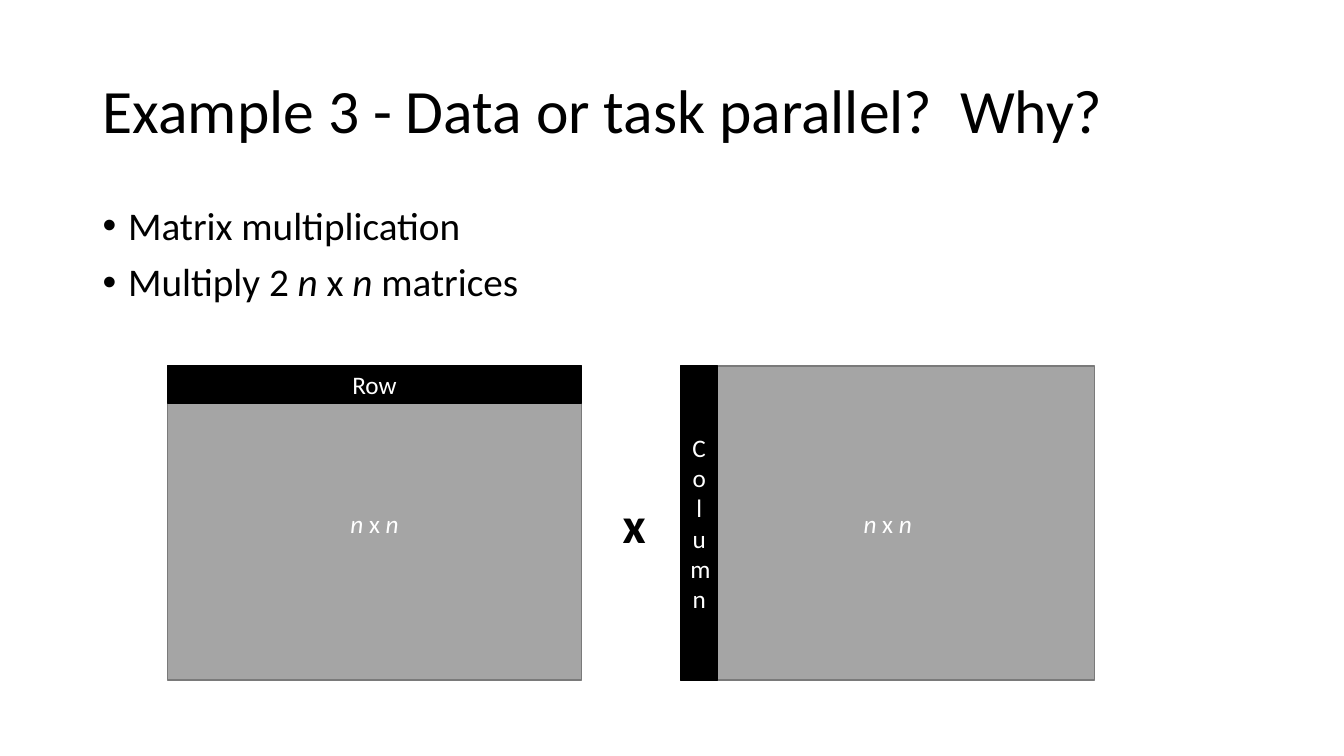
from dataclasses import dataclass

from lxml.etree import SubElement
from pptx import Presentation
from pptx.dml.color import RGBColor
from pptx.enum.shapes import MSO_SHAPE
from pptx.enum.text import MSO_ANCHOR, MSO_AUTO_SIZE, PP_ALIGN
from pptx.oxml.ns import qn
from pptx.slide import Slide
from pptx.text.text import TextFrame, _Paragraph
from pptx.util import Cm, Pt

FONT = "Calibri"
BLACK, WHITE, GRAY, EDGE = "000000", "FFFFFF", "A5A5A5", "7A7A7A"
MATRIX_TOP, MATRIX_WIDTH, MATRIX_HEIGHT = 9.22, 10.44, 7.92
BAND = 0.94
SIZE_LABEL = ["*n", " x ", "*n"]


@dataclass(frozen=True)
class Box:
    left: float
    top: float
    width: float
    height: float

    def lengths(self) -> tuple[Cm, Cm, Cm, Cm]:
        return Cm(self.left), Cm(self.top), Cm(self.width), Cm(self.height)


@dataclass(frozen=True)
class Block:
    box: Box
    label: list[str]
    fill: str
    edge: str


def color(value: str) -> RGBColor:
    return RGBColor.from_string(value)


def write(paragraph: _Paragraph, pieces: list[str], size: int, ink: str) -> None:
    paragraph.font.name = FONT
    paragraph.font.size = Pt(size)
    paragraph.font.color.rgb = color(ink)
    for piece in pieces:
        run = paragraph.add_run()
        run.text = piece.removeprefix("*")
        if piece.startswith("*"):
            run.font.italic = True


def add_bullet(paragraph: _Paragraph) -> None:
    properties = paragraph._p.get_or_add_pPr()
    properties.set("marL", str(Cm(0.64)))
    properties.set("indent", str(Cm(-0.64)))
    SubElement(properties, qn("a:buFont"), typeface="Arial")
    SubElement(properties, qn("a:buChar"), char="•")


def add_text(slide: Slide, box: Box) -> TextFrame:
    frame = slide.shapes.add_textbox(*box.lengths()).text_frame
    frame.word_wrap = True
    return frame


def add_heading(slide: Slide) -> None:
    heading = add_text(slide, Box(2.34, 1.02, 29.21, 3.68))
    heading.vertical_anchor = MSO_ANCHOR.MIDDLE
    heading.paragraphs[0].line_spacing = 0.9
    write(heading.paragraphs[0], ["Example 3 - Data or task parallel?  Why?"], 44, BLACK)


def add_points(slide: Slide) -> None:
    points = [
        ["Matrix multiplication"],
        ["Multiply 2 ", "*n", " x ", "*n ", "matrices"],
    ]
    body = add_text(slide, Box(2.34, 5.08, 14.4, 12.09))
    for index, point in enumerate(points):
        paragraph = body.add_paragraph() if index else body.paragraphs[0]
        paragraph.line_spacing = 0.9
        paragraph.space_before = Pt(10)
        add_bullet(paragraph)
        write(paragraph, point, 28, BLACK)


def add_block(slide: Slide, block: Block) -> None:
    rectangle = slide.shapes.add_shape(MSO_SHAPE.RECTANGLE, *block.box.lengths())
    rectangle.shadow.inherit = False
    rectangle.fill.solid()
    rectangle.fill.fore_color.rgb = color(block.fill)
    rectangle.line.color.rgb = color(block.edge)
    rectangle.line.width = Pt(1)
    frame = rectangle.text_frame
    frame.word_wrap = True
    frame.vertical_anchor = MSO_ANCHOR.MIDDLE
    frame.paragraphs[0].alignment = PP_ALIGN.CENTER
    write(frame.paragraphs[0], block.label, 18, WHITE)


def add_matrix(slide: Slide, left: float, band: str, width: float, height: float) -> None:
    whole = Box(left, MATRIX_TOP, MATRIX_WIDTH, MATRIX_HEIGHT)
    add_block(slide, Block(whole, SIZE_LABEL, GRAY, EDGE))
    add_block(slide, Block(Box(left, MATRIX_TOP, width, height), [band], BLACK, BLACK))


def add_times_sign(slide: Slide) -> None:
    times = add_text(slide, Box(15.44, 12.29, 1.09, 1.8))
    times.word_wrap = False
    times.auto_size = MSO_AUTO_SIZE.SHAPE_TO_FIT_TEXT
    write(times.paragraphs[0], ["x"], 36, BLACK)
    times.paragraphs[0].font.bold = True


def main() -> None:
    deck = Presentation()
    deck.slide_width, deck.slide_height = Cm(33.87), Cm(19.05)
    slide = deck.slides.add_slide(deck.slide_layouts[6])
    add_heading(slide)
    add_points(slide)
    add_matrix(slide, 4.22, "Row", MATRIX_WIDTH, BAND)
    add_matrix(slide, 17.15, "Column", BAND, MATRIX_HEIGHT)
    add_times_sign(slide)
    deck.save("out.pptx")


if __name__ == "__main__":
    main()
